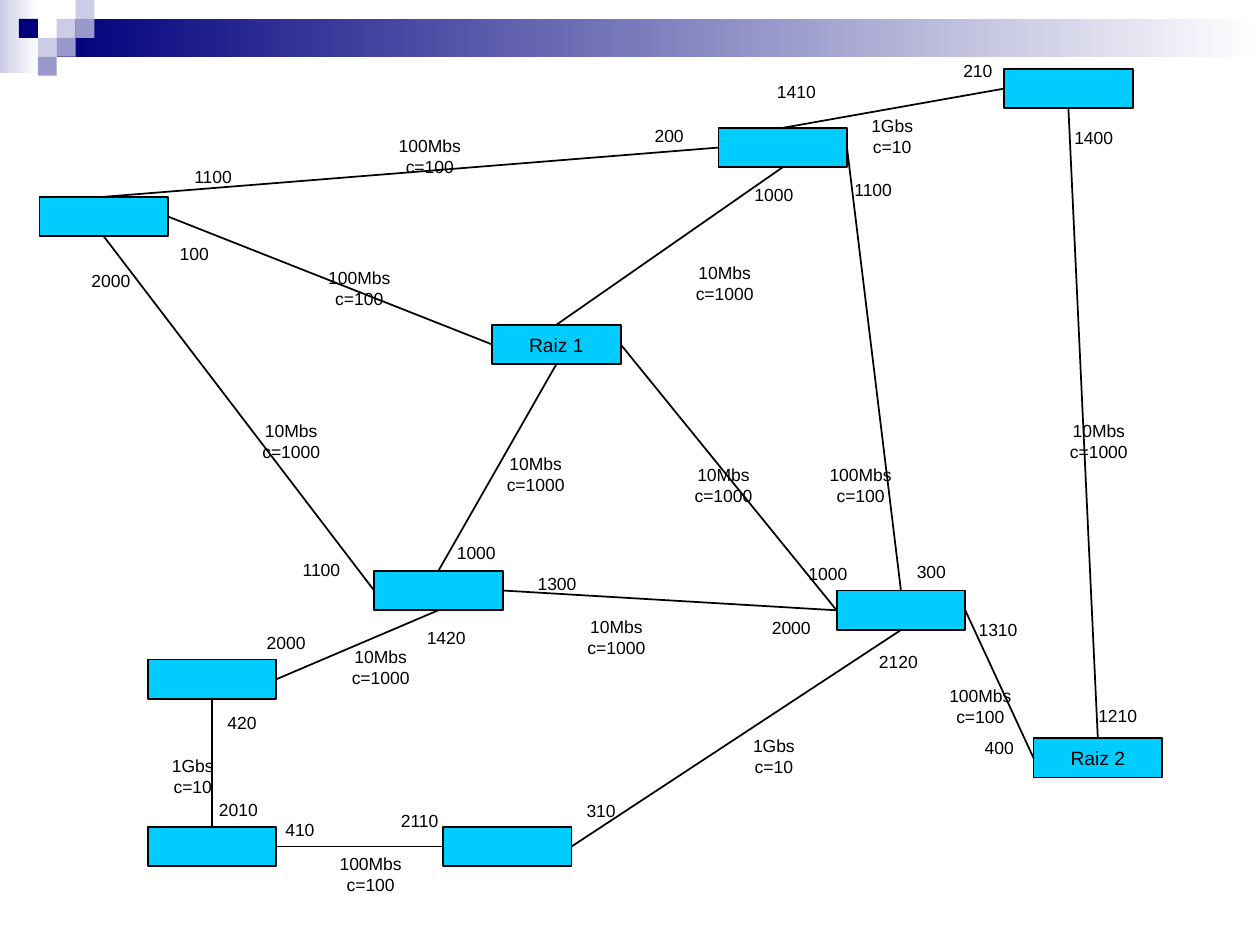
from lxml.etree import SubElement
from pptx import Presentation
from pptx.dml.color import RGBColor
from pptx.enum.shapes import MSO_CONNECTOR, MSO_SHAPE
from pptx.enum.text import MSO_ANCHOR, MSO_AUTO_SIZE, PP_ALIGN
from pptx.oxml.ns import qn
from pptx.util import Pt

NAVY = RGBColor(0x00, 0x00, 0x7D)
LILAC = RGBColor(0x99, 0x99, 0xCC)
PALE = RGBColor(0xCC, 0xCC, 0xE6)
WHITE = RGBColor(0xFF, 0xFF, 0xFF)
CYAN = RGBColor(0x00, 0xCC, 0xFF)
BLACK = RGBColor(0x00, 0x00, 0x00)

CELL = 10.8
BANDS = [  # left, top, width, height, colour that fades to white
    (0, 0, 22.3, 41.8, PALE),
    (3 * CELL, CELL, 720 - 3 * CELL, 2 * CELL, NAVY),
]
TILES = [  # column, row, colour
    (3, 1, PALE), (4, 0, PALE), (4, 1, LILAC), (2, 2, PALE),
    (1, 1, NAVY), (3, 2, LILAC), (2, 3, LILAC),
]

NODE_W, NODE_H = 73.5, 22.5
NODES = {  # left, top, text
    "root1": (281.2, 185.6, "Raiz 1"),
    "north": (410.5, 73.1, ""),
    "west": (22.5, 112.5, ""),
    "east": (478.1, 337.5, ""),
    "mid": (213.8, 326.2, ""),
    "low": (84.4, 472.5, ""),
    "south": (253.1, 472.5, ""),
    "far": (573.8, 39.4, ""),
    "left": (84.4, 376.9, ""),
    "root2": (590.6, 421.9, "Raiz 2"),
}

TOP, LEFT, BOTTOM, RIGHT = range(4)  # connection sites of a rectangle
LINKS = [
    ("north", LEFT, "west", TOP),
    ("north", RIGHT, "east", TOP),
    ("root1", LEFT, "west", RIGHT),
    ("mid", TOP, "root1", BOTTOM),
    ("mid", LEFT, "west", BOTTOM),
    ("mid", RIGHT, "east", LEFT),
    ("east", LEFT, "root1", RIGHT),
    ("north", BOTTOM, "root1", TOP),
    ("east", RIGHT, "root2", LEFT),
    ("far", BOTTOM, "root2", TOP),
    ("north", TOP, "far", LEFT),
    ("left", BOTTOM, "low", TOP),
    ("left", RIGHT, "mid", BOTTOM),
    ("south", LEFT, "low", RIGHT),
    ("south", RIGHT, "east", BOTTOM),
]

LABEL_W, RATE_H, COST_H = 52, 31.7, 19.4
RATES = {
    "100Mbs c=100": [(219.6, 73.4), (179.3, 149), (465.8, 261.4),
                     (185.8, 483.8), (534.2, 388.1)],
    "10Mbs c=1000": [(388.1, 146.2), (140.4, 236.2), (280.1, 255.6),
                     (387.4, 261.4), (326.2, 348.5), (191.5, 365.8),
                     (601.9, 236.2)],
    "1Gbs c=10": [(416.2, 416.2), (483.8, 61.9), (84.2, 427.7)],
}
COSTS = {
    "100": [(85, 135.4)],
    "200": [(356.4, 67.7)],
    "210": [(532.8, 31)],
    "300": [(506.2, 316.8)],
    "310": [(317.5, 453.6)],
    "400": [(545, 417.6)],
    "410": [(145.4, 464.4)],
    "420": [(112.3, 403.2)],
    "1000": [(416.2, 101.5), (246.2, 306), (447.1, 318.2)],
    "1100": [(95.8, 91.4), (157.7, 316.1), (473, 98.6)],
    "1210": [(612.7, 399.6)],
    "1300": [(292.3, 324)],
    "1310": [(544.3, 349.9)],
    "1400": [(599, 69.1)],
    "1410": [(429.1, 42.5)],
    "1420": [(229, 355)],
    "2000": [(37.4, 150.5), (426.2, 349.2), (137.5, 357.8)],
    "2010": [(110.2, 452.9)],
    "2110": [(213.8, 459.4)],
    "2120": [(487.4, 368.6)],
}


def add_rect(slide, x, y, w, h):
    rect = slide.shapes.add_shape(
        MSO_SHAPE.RECTANGLE, Pt(x), Pt(y), Pt(w), Pt(h))
    rect.shadow.inherit = False
    rect.line.fill.background()
    return rect


def paint(rect, color):
    rect.fill.solid()
    rect.fill.fore_color.rgb = color


def write(frame, text, size):
    frame.word_wrap = True
    par = frame.paragraphs[0]
    par.text = text
    par.alignment = PP_ALIGN.CENTER
    par.font.name = "Arial"
    par.font.size = Pt(size)
    par.font.color.rgb = BLACK


def add_band(slide, x, y, w, h, color):
    fill = add_rect(slide, x, y, w, h).fill
    fill.gradient()
    fill.gradient_angle = 0
    for stop, shade in zip(fill.gradient_stops, (color, WHITE)):
        stop.color.rgb = shade


def add_node(slide, x, y, text):
    node = add_rect(slide, x, y, NODE_W, NODE_H)
    paint(node, CYAN)
    node.line.color.rgb = BLACK
    node.line.width = Pt(1)
    if text:
        write(node.text_frame, text, 11)
        node.text_frame.vertical_anchor = MSO_ANCHOR.MIDDLE
    return node


def add_link(slide, start, exit_side, end, entry_side):
    link = slide.shapes.add_connector(MSO_CONNECTOR.STRAIGHT, 0, 0, 0, 0)
    link.begin_connect(start, exit_side)
    link.end_connect(end, entry_side)
    link.line.color.rgb = BLACK
    link.line.width = Pt(1)
    SubElement(link._element.spPr, qn("a:effectLst"))


def add_labels(slide, labels, height):
    for text, spots in labels.items():
        for x, y in spots:
            box = slide.shapes.add_textbox(
                Pt(x), Pt(y), Pt(LABEL_W), Pt(height))
            write(box.text_frame, text, 10)
            box.text_frame.auto_size = MSO_AUTO_SIZE.SHAPE_TO_FIT_TEXT


def main():
    deck = Presentation()
    deck.slide_width, deck.slide_height = Pt(720), Pt(540)
    slide = deck.slides.add_slide(deck.slide_layouts[6])
    for band in BANDS:
        add_band(slide, *band)
    for col, row, color in TILES:
        paint(add_rect(slide, col * CELL, row * CELL, CELL, CELL), color)
    nodes = {name: add_node(slide, *node) for name, node in NODES.items()}
    for start, exit_side, end, entry_side in LINKS:
        add_link(slide, nodes[start], exit_side, nodes[end], entry_side)
    add_labels(slide, RATES, RATE_H)
    add_labels(slide, COSTS, COST_H)
    deck.save("out.pptx")


if __name__ == "__main__":
    main()
